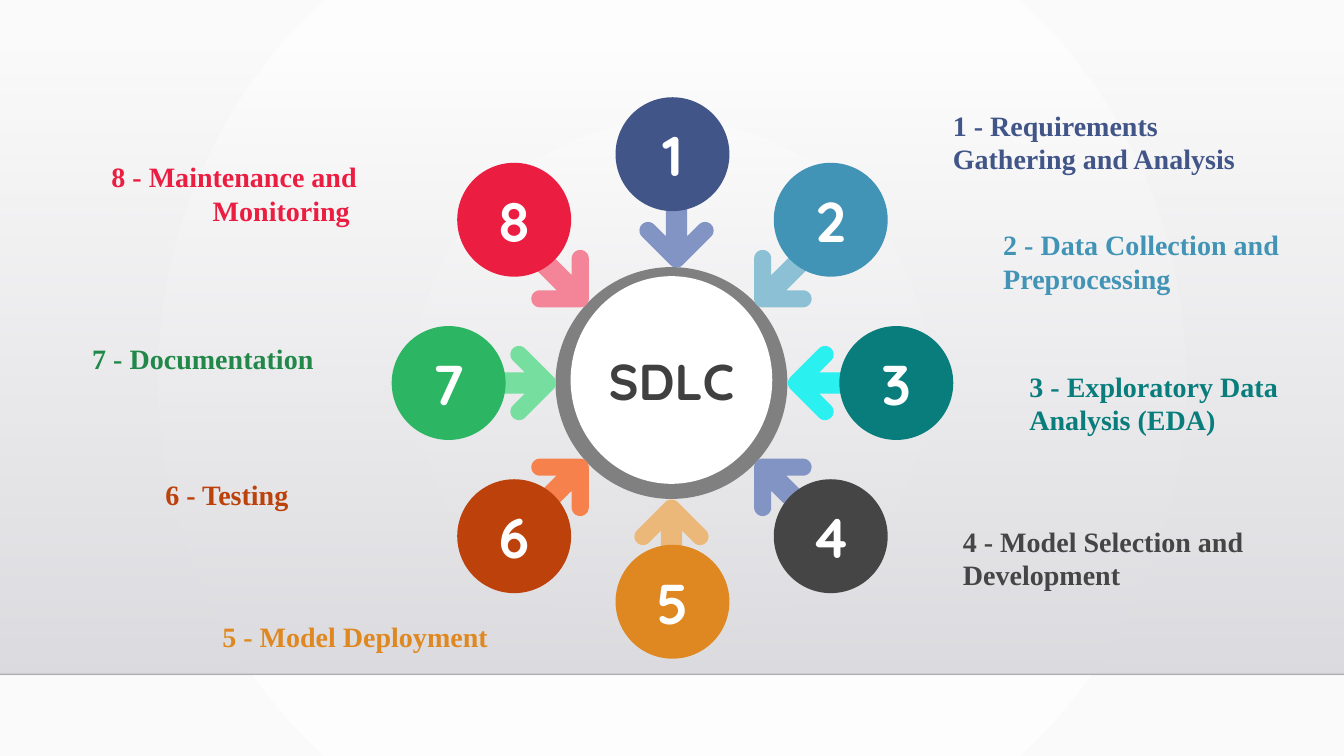
"""Build the eight-step SDLC wheel slide."""
import math
from dataclasses import dataclass

from lxml import etree
from pptx import Presentation
from pptx import util as u
from pptx.dml.color import RGBColor
from pptx.enum import shapes, text
from pptx.oxml.ns import qn

SCALE = 9144
SLIDE_WIDTH, SLIDE_HEIGHT = 1333, 750
FLOOR_TOP, FLOOR_BOTTOM = 51, 669
WHEEL_X, WHEEL_Y, ORBIT = 667, 375, 222
DISC_SIZE = 113
LABEL_WIDTH, ONE_LINE, TWO_LINES = 321, 44, 77
ARM, HALF_BAND, SHAFT, TAIL = 57, 8.5, 15, 20

COLORS = {
    "white": "FFFFFF", "paper": "FAFAFA",
    "mist": "DCDCE0", "fog": "DEDEE2", "edge": "000001",
    "ring": "808080", "hub_text": "404040",
    "navy": "415588", "periwinkle": "8294C3",
    "blue": "4294B6", "pale_blue": "8CC0D5",
    "teal": "087D7C", "cyan": "2AF1F0",
    "charcoal": "454545",
    "amber": "DF8822", "pale_amber": "ECB87A",
    "rust": "BC410A", "coral": "F6814D",
    "green": "2CB663", "mint": "76DE9F", "dark_green": "21884A",
    "red": "EB1E42", "pink": "F48497",
}


@dataclass(frozen=True)
class Step:
    number: int
    title: str
    disc_color: str
    arrow_color: str
    label_color: str
    corner: tuple[int, int]
    label_at: tuple[int, int]
    label_height: int
    disc_drop: int = 0


STEPS = [
    Step(1, "Requirements Gathering and Analysis", "navy", "periwinkle", "navy",
         (671, 269), (945, 102), TWO_LINES),
    Step(2, "Data Collection and Preprocessing", "blue", "pale_blue", "blue",
         (748, 305), (995, 221), TWO_LINES),
    Step(3, "Exploratory Data Analysis (EDA)", "teal", "cyan", "teal",
         (778, 380), (1021, 361), TWO_LINES, 5),
    Step(4, "Model Selection and Development", "charcoal", "periwinkle", "charcoal",
         (748, 455), (955, 515), TWO_LINES),
    Step(5, "Model Deployment", "amber", "pale_amber", "amber",
         (666, 492), (163, 609), ONE_LINE),
    Step(6, "Testing ", "rust", "coral", "rust",
         (584, 455), (-28, 468), ONE_LINE),
    Step(7, "Documentation", "green", "mint", "dark_green",
         (555, 380), (-10, 333), ONE_LINE, 5),
    Step(8, "Maintenance and Monitoring ", "red", "pink", "red",
         (584, 305), (33, 153), TWO_LINES),
]


def px(length: float) -> u.Emu:
    return u.Emu(round(length * SCALE))


def rgb(name: str) -> RGBColor:
    return RGBColor.from_string(COLORS[name])


def set_alpha(color_parent, percent: int) -> None:
    color = color_parent.find(".//" + qn("a:srgbClr"))
    etree.SubElement(color, qn("a:alpha"), val=str(percent * 1000))


def fade(fill, first: str, last: str) -> None:
    fill.gradient()
    for stop, name in zip(fill.gradient_stops, (first, last)):
        stop.color.rgb = rgb(name)


def paint(shape, color: str) -> None:
    shape.fill.solid()
    shape.fill.fore_color.rgb = rgb(color)
    shape.line.fill.background()
    shape.shadow.inherit = False


def write(frame, words: str, font: str, size: int, color: str, align) -> None:
    frame.vertical_anchor = text.MSO_ANCHOR.MIDDLE
    paragraph = frame.paragraphs[0]
    paragraph.alignment = align
    run = paragraph.add_run()
    run.text = words
    run.font.name = font
    run.font.size = u.Pt(size)
    run.font.bold = True
    run.font.color.rgb = rgb(color)


def draw_backdrop(slide) -> None:
    fade(slide.background.fill, "white", "paper")
    glow = slide.element.find(".//" + qn("a:gradFill"))
    glow.remove(glow.find(qn("a:lin")))
    circle = etree.SubElement(glow, qn("a:path"), {"path": "circle"})
    etree.SubElement(circle, qn("a:fillToRect"), dict.fromkeys("ltrb", "50000"))

    floor = slide.shapes.add_shape(
        shapes.MSO_SHAPE.RECTANGLE, 0, px(FLOOR_TOP),
        px(SLIDE_WIDTH), px(FLOOR_BOTTOM - FLOOR_TOP))
    paint(floor, "mist")
    fade(floor.fill, "mist", "fog")
    floor.fill.gradient_angle = 270
    set_alpha(floor.element.spPr.find(qn("a:gradFill")), 0)

    edge = slide.shapes.add_connector(
        shapes.MSO_CONNECTOR.STRAIGHT, 0, px(FLOOR_BOTTOM),
        px(SLIDE_WIDTH), px(FLOOR_BOTTOM))
    edge.line.width = u.Pt(1)
    edge.line.color.rgb = rgb("edge")
    set_alpha(edge.line._ln, 20)
    etree.SubElement(edge._element.spPr, qn("a:effectLst"))


def draw_oval(slide, left: float, top: float, width: int, height: int, color: str):
    oval = slide.shapes.add_shape(
        shapes.MSO_SHAPE.OVAL, px(left), px(top), px(width), px(height))
    paint(oval, color)
    oval.text_frame.word_wrap = False
    return oval


def arc(x: float, y: float, start: int, end: int) -> list[tuple[float, float]]:
    return [(x + HALF_BAND * math.cos(math.radians(angle)),
             y + HALF_BAND * math.sin(math.radians(angle)))
            for angle in range(start, end + 1, 15)]


def arrow_outline() -> list[tuple[float, float]]:
    band, arm_end = 2 * HALF_BAND, ARM - HALF_BAND
    fork = band + SHAFT
    return [*arc(HALF_BAND, HALF_BAND, 180, 270),
            *arc(arm_end, HALF_BAND, 270, 450),
            (fork, band), (fork + TAIL, band + TAIL),
            (band + TAIL, fork + TAIL), (band, fork),
            *arc(HALF_BAND, arm_end, 0, 180)]


def draw_arrow(slide, step: Step) -> None:
    turn = math.radians(45 * (step.number - 4))
    cos, sin = math.cos(turn), math.sin(turn)
    corner_x, corner_y = step.corner
    points = [(px(corner_x + x * cos - y * sin), px(corner_y + x * sin + y * cos))
              for x, y in arrow_outline()]
    builder = slide.shapes.build_freeform(*points[0])
    builder.add_line_segments(points[1:], close=True)
    paint(builder.convert_to_shape(), step.arrow_color)


def draw_disc(slide, step: Step) -> None:
    angle = math.radians(45 * (step.number - 3))
    left = WHEEL_X + ORBIT * math.cos(angle) - DISC_SIZE / 2
    top = WHEEL_Y + step.disc_drop + ORBIT * math.sin(angle) - DISC_SIZE / 2
    disc = draw_oval(slide, left, top, DISC_SIZE, DISC_SIZE, step.disc_color)
    write(disc.text_frame, str(step.number), "Quicksand", 40, "white",
          text.PP_ALIGN.CENTER)


def draw_label(slide, step: Step) -> None:
    left, top = step.label_at
    label = slide.shapes.add_textbox(
        px(left), px(top), px(LABEL_WIDTH), px(step.label_height))
    frame = label.text_frame
    frame.word_wrap = True
    frame.auto_size = text.MSO_AUTO_SIZE.SHAPE_TO_FIT_TEXT
    frame.margin_left = frame.margin_right = 0
    align = text.PP_ALIGN.LEFT if step.number <= 4 else text.PP_ALIGN.RIGHT
    write(frame, f"{step.number} - {step.title}", "Times New Roman", 20,
          step.label_color, align)


def main() -> None:
    deck = Presentation()
    deck.slide_width, deck.slide_height = px(SLIDE_WIDTH), px(SLIDE_HEIGHT)
    slide = deck.slides.add_slide(deck.slide_layouts[6])
    draw_backdrop(slide)
    draw_oval(slide, 551, 265, 230, 230, "ring")
    for draw in (draw_arrow, draw_disc, draw_label):
        for step in STEPS:
            draw(slide, step)
    hub = draw_oval(slide, 566, 274, 200, 206, "white")
    write(hub.text_frame, "SDLC", "Quicksand", 36, "hub_text", text.PP_ALIGN.CENTER)
    deck.save("out.pptx")


if __name__ == "__main__":
    main()
